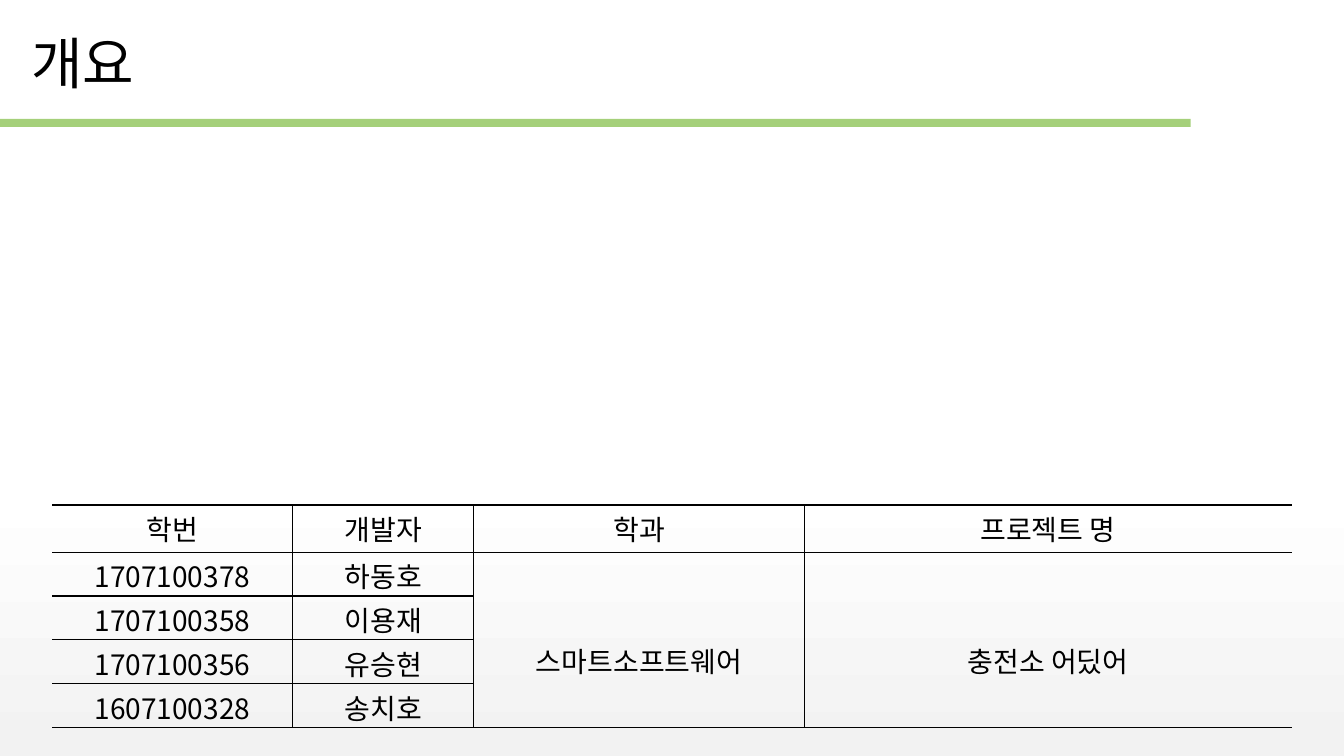
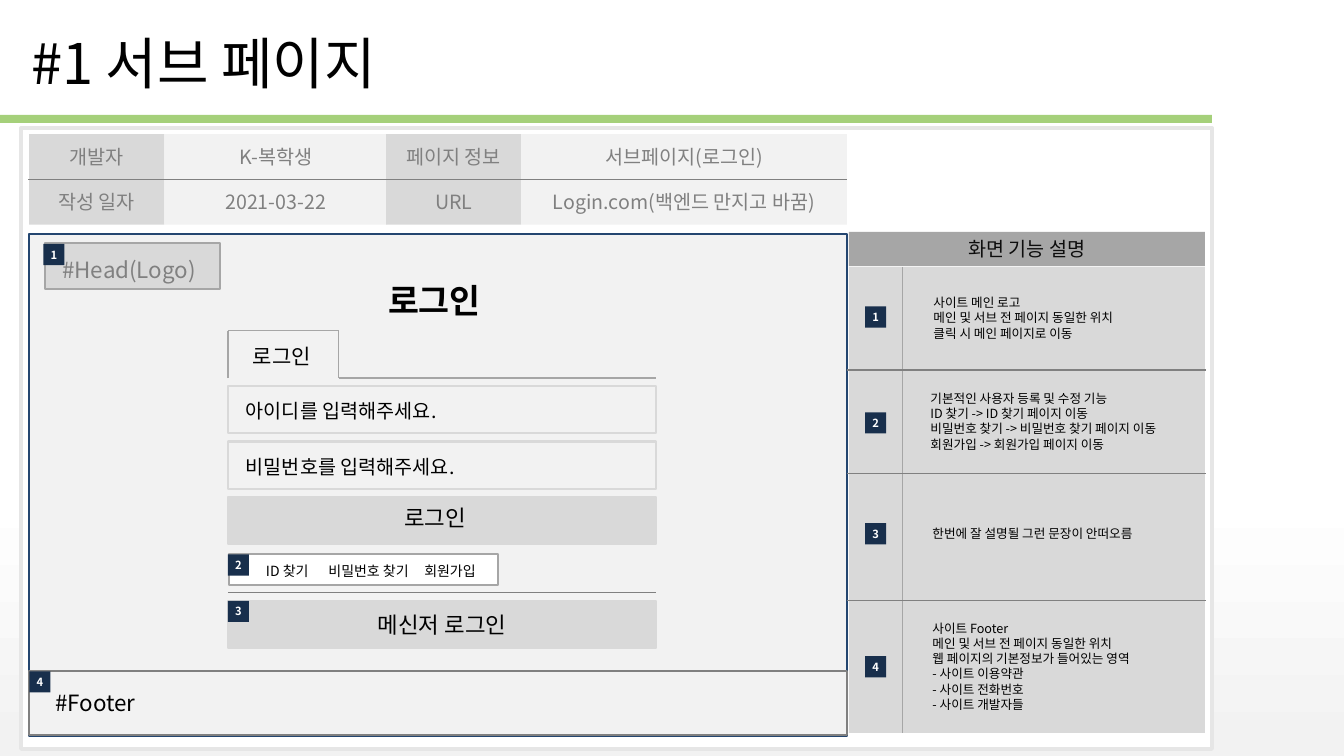
from itertools import pairwise

from lxml import etree
from pptx import Presentation
from pptx.dml.color import RGBColor
from pptx.enum.shapes import MSO_CONNECTOR, MSO_SHAPE
from pptx.enum.text import MSO_ANCHOR, MSO_AUTO_SIZE, PP_ALIGN
from pptx.oxml.ns import qn
from pptx.util import Inches, Pt

FONT = "Noto Sans CJK KR"
BLACK = RGBColor(0x00, 0x00, 0x00)
INK = RGBColor(0x0D, 0x0D, 0x0D)
WHITE = RGBColor(0xFF, 0xFF, 0xFF)
GREEN = RGBColor(0xA5, 0xD0, 0x7A)
NAVY = RGBColor(0x18, 0x2F, 0x4C)
BLUE = RGBColor(0x24, 0x46, 0x70)
PALE = RGBColor(0xF2, 0xF2, 0xF2)
FRAME = RGBColor(0xE6, 0xE6, 0xE6)
LIGHT = RGBColor(0xD9, 0xD9, 0xD9)
SILVER = RGBColor(0xA6, 0xA6, 0xA6)
GRAY = RGBColor(0x80, 0x80, 0x80)

MEMBERS = [
    ("1707100378", "하동호"),
    ("1707100358", "이용재"),
    ("1707100356", "유승현"),
    ("1607100328", "송치호"),
]
PAGE_INFO = [
    ("개발자", "K-복학생", "페이지 정보", "서브페이지(로그인)"),
    ("작성 일자", "2021-03-22", "URL", "Login.com(백엔드 만지고 바꿈)"),
]
# Badge top, text box, lines of each explanation
GUIDE = [
    (3.04, (9.16, 2.88, 2.15, 0.56),
     ["사이트 메인 로고", "메인 및 서브 전 페이지 동일한 위치",
      "클릭 시 메인 페이지로 이동"]),
    (4.09, (9.13, 3.83, 2.65, 0.71),
     ["기본적인 사용자 등록 및 수정 기능", "ID 찾기 -> ID 찾기 페이지 이동",
      "비밀번호 찾기 -> 비밀번호 찾기 페이지 이동",
      "회원가입 -> 회원가입 페이지 이동"]),
    (5.19, (9.15, 5.17, 2.36, 0.25), ["한번에 잘 설명될 그런 문장이 안떠오름"]),
    (6.51, (9.15, 6.11, 2.32, 1.01),
     ["사이트 Footer", "메인 및 서브 전 페이지 동일한 위치",
      "웹 페이지의 기본정보가 들어있는 영역", "- 사이트 이용약관",
      "- 사이트 전화번호", "- 사이트 개발자들"]),
]


def inches(values):
    return [Inches(value) for value in values]


def write(frame, lines, size, color=BLACK, align=PP_ALIGN.LEFT, bold=False, font=FONT):
    for index, line in enumerate(lines):
        paragraph = frame.paragraphs[0] if index == 0 else frame.add_paragraph()
        paragraph.text = line
        paragraph.alignment = align
        paragraph.font.size = Pt(size)
        paragraph.font.bold = bold
        paragraph.font.color.rgb = color
        paragraph.font.name = font
        # Korean text takes its face from the East Asian font
        properties = paragraph._p.pPr.find(qn("a:defRPr"))
        etree.SubElement(properties, qn("a:ea"), typeface=FONT)


def add_box(slide, place, fill, line=None, width=1.5):
    box = slide.shapes.add_shape(MSO_SHAPE.RECTANGLE, *inches(place))
    box.shadow.inherit = False
    box.fill.solid()
    box.fill.fore_color.rgb = fill
    if line is None:
        box.line.fill.background()
    else:
        box.line.color.rgb = line
        box.line.width = Pt(width)
    return box


def add_caption_box(slide, place, fill, text, size=14, color=GRAY, line=None, font=FONT):
    frame = add_box(slide, place, fill, line).text_frame
    frame.vertical_anchor = MSO_ANCHOR.MIDDLE
    write(frame, [text], size, color, PP_ALIGN.CENTER, font=font)


def add_label(slide, place, lines, size, color=BLACK, bold=False):
    frame = slide.shapes.add_textbox(*inches(place)).text_frame
    frame.word_wrap = False
    frame.auto_size = MSO_AUTO_SIZE.SHAPE_TO_FIT_TEXT
    write(frame, lines, size, color, bold=bold)


def add_badge(slide, left, top, number):
    frame = add_box(slide, (left, top, 0.21, 0.21), NAVY).text_frame
    frame.margin_left = frame.margin_right = 0
    frame.margin_top = frame.margin_bottom = 0
    frame.vertical_anchor = MSO_ANCHOR.MIDDLE
    write(frame, [str(number)], 8, WHITE, PP_ALIGN.CENTER, bold=True)


def add_rule(slide, start, end, color=GRAY):
    rule = slide.shapes.add_connector(MSO_CONNECTOR.STRAIGHT, *inches(start + end))
    rule.line.color.rgb = color
    rule.line.width = Pt(1)
    etree.SubElement(rule._element.spPr, qn("a:effectLst"))


def set_background(presentation):
    fill = presentation.slide_master.background.fill
    fill.gradient()
    fill.gradient_angle = 270
    for stop, color, position in zip(fill.gradient_stops, (WHITE, PALE), (0.65, 0.99)):
        stop.color.rgb = color
        stop.position = position


def add_titled_slide(presentation, text, band):
    slide = presentation.slides.add_slide(presentation.slide_layouts[5])
    add_box(slide, band, GREEN)
    title = slide.shapes.title
    title.left, title.top, title.width, title.height = inches((0.21, 0.23, 11.6, 0.77))
    title.text_frame.auto_size = MSO_AUTO_SIZE.NONE
    title.text_frame.vertical_anchor = MSO_ANCHOR.TOP
    write(title.text_frame, [text], 40)
    return slide


def set_borders(cell, sides):
    properties = cell._tc.get_or_add_tcPr()
    for side in ("L", "R", "T", "B"):
        border = etree.SubElement(properties, qn(f"a:ln{side}"), w=str(Pt(1)))
        if side in sides:
            fill = etree.SubElement(border, qn("a:solidFill"))
            etree.SubElement(fill, qn("a:srgbClr"), val=str(BLACK))
        else:
            etree.SubElement(border, qn("a:noFill"))


def add_member_table(slide):
    header = ("학번", "개발자", "학과", "프로젝트 명")
    first, *others = MEMBERS
    rows = [header, first + ("스마트소프트웨어", "충전소 어딨어")]
    rows += [member + ("", "") for member in others]
    table = slide.shapes.add_table(
        len(rows), len(header), *inches((0.52, 5.01, 12.29, 2.2))).table
    table.first_row = table.horz_banding = False
    for column, width in zip(table.columns, (2.38, 1.8, 3.28, 4.83)):
        column.width = Inches(width)
    for index, row in enumerate(table.rows):
        row.height = Inches(0.43 if index else 0.47)

    last = len(header) - 1
    for row, texts in enumerate(rows):
        for column, text in enumerate(texts):
            cell = table.cell(row, column)
            sides = "TB" + ("L" if column else "") + ("R" if column < last else "")
            set_borders(cell, sides)
            cell.fill.background()
            cell.margin_top, cell.margin_bottom = Inches(0.03), 0
            if text:
                write(cell.text_frame, [text], 20, align=PP_ALIGN.CENTER)

    # Department and project span all members, set below the middle
    for column in (2, 3):
        shared = table.cell(1, column)
        shared.merge(table.cell(len(MEMBERS), column))
        shared.vertical_anchor = MSO_ANCHOR.MIDDLE
        shared.margin_top = Inches(0.4)


def add_page_info(slide):
    columns = [(0.29, 1.34, LIGHT), (1.63, 2.21, PALE),
               (3.83, 1.34, LIGHT), (5.17, 3.23, PALE)]
    for row, texts in enumerate(PAGE_INFO):
        for (left, width, fill), text in zip(columns, texts):
            add_caption_box(slide, (left, 1.33 + 0.45 * row, width, 0.45), fill, text)
    add_rule(slide, (0.28, 1.78), (8.4, 1.78))


def add_login_form(slide):
    left, width, height = 2.26, 4.25, 0.47
    right = left + width
    add_label(slide, (3.75, 2.73, 1.18, 0.5), ["로그인"], 24, bold=True)

    # Tab outline
    tab = [(left, 3.75), (left, 3.28), (3.36, 3.28), (3.36, 3.75), (right, 3.75)]
    for start, end in pairwise(tab):
        add_rule(slide, start, end, SILVER)
    add_label(slide, (2.41, 3.36, 0.81, 0.35), ["로그인"], 15)

    # Input fields and login button
    fields = [
        (PALE, (2.34, 3.91, 2.22, 0.34), "아이디를 입력해주세요.", 14),
        (PALE, (2.34, 4.46, 2.49, 0.34), "비밀번호를 입력해주세요.", 14),
        (LIGHT, (3.91, 4.95, 0.85, 0.37), "로그인", 16),
    ]
    for index, (fill, place, text, size) in enumerate(fields):
        add_box(slide, (left, 3.83 + 0.55 * index, width, height), fill, LIGHT)
        add_label(slide, place, [text], size)

    # Account links
    add_box(slide, (2.27, 5.5, 2.67, 0.3), WHITE, SILVER)
    links = [(2.54, 0.66, "ID 찾기"), (3.16, 1.06, "비밀번호 찾기"),
             (4.11, 0.75, "회원가입")]
    for link_left, link_width, text in links:
        add_label(slide, (link_left, 5.53, link_width, 0.27), [text], 10)

    # Messenger login
    add_rule(slide, (left, 5.88), (right, 5.88))
    add_caption_box(slide, (left, 5.96, width, height), LIGHT, "메신저 로그인",
                    16, BLACK, LIGHT)


def add_wireframe(slide):
    add_box(slide, (0.29, 2.32, 8.11, 4.98), PALE, BLUE)
    add_login_form(slide)
    add_box(slide, (0.29, 6.66, 8.11, 0.63), PALE, GRAY)
    add_label(slide, (0.45, 6.79, 1.06, 0.37), ["#Footer"], 16)
    add_box(slide, (0.45, 2.41, 1.73, 0.46), LIGHT, SILVER)
    add_label(slide, (0.52, 2.49, 1.55, 0.37), ["#Head(Logo)"], 16, GRAY)
    spots = [(0.43, 2.42), (2.26, 5.5), (2.26, 5.96), (0.29, 6.66)]
    for number, (left, top) in enumerate(spots, 1):
        add_badge(slide, left, top, number)


def add_guide(slide):
    add_caption_box(slide, (8.42, 2.3, 3.53, 0.34), SILVER, "화면 기능 설명",
                    color=INK, font="Arial")
    add_box(slide, (8.42, 2.65, 3.53, 4.62), LIGHT)
    add_rule(slide, (8.95, 2.65), (8.95, 7.27), SILVER)
    for top in (3.67, 4.7, 5.96):
        add_rule(slide, (8.4, top), (11.96, top))
    for number, (badge_top, place, lines) in enumerate(GUIDE, 1):
        add_badge(slide, 8.58, badge_top, number)
        add_label(slide, place, lines, 9)


def main():
    presentation = Presentation()
    presentation.slide_width, presentation.slide_height = inches((13.33, 7.5))
    set_background(presentation)

    # Overview
    overview = add_titled_slide(presentation, "개요", (0, 1.18, 11.81, 0.08))
    add_member_table(overview)

    # Login page plan
    login_page = add_titled_slide(presentation, "#1 서브 페이지", (0, 1.14, 12.02, 0.08))
    add_box(login_page, (0.21, 1.27, 11.81, 6.16), WHITE, FRAME, 3)
    add_page_info(login_page)
    add_wireframe(login_page)
    add_guide(login_page)

    presentation.save("out.pptx")


main()
